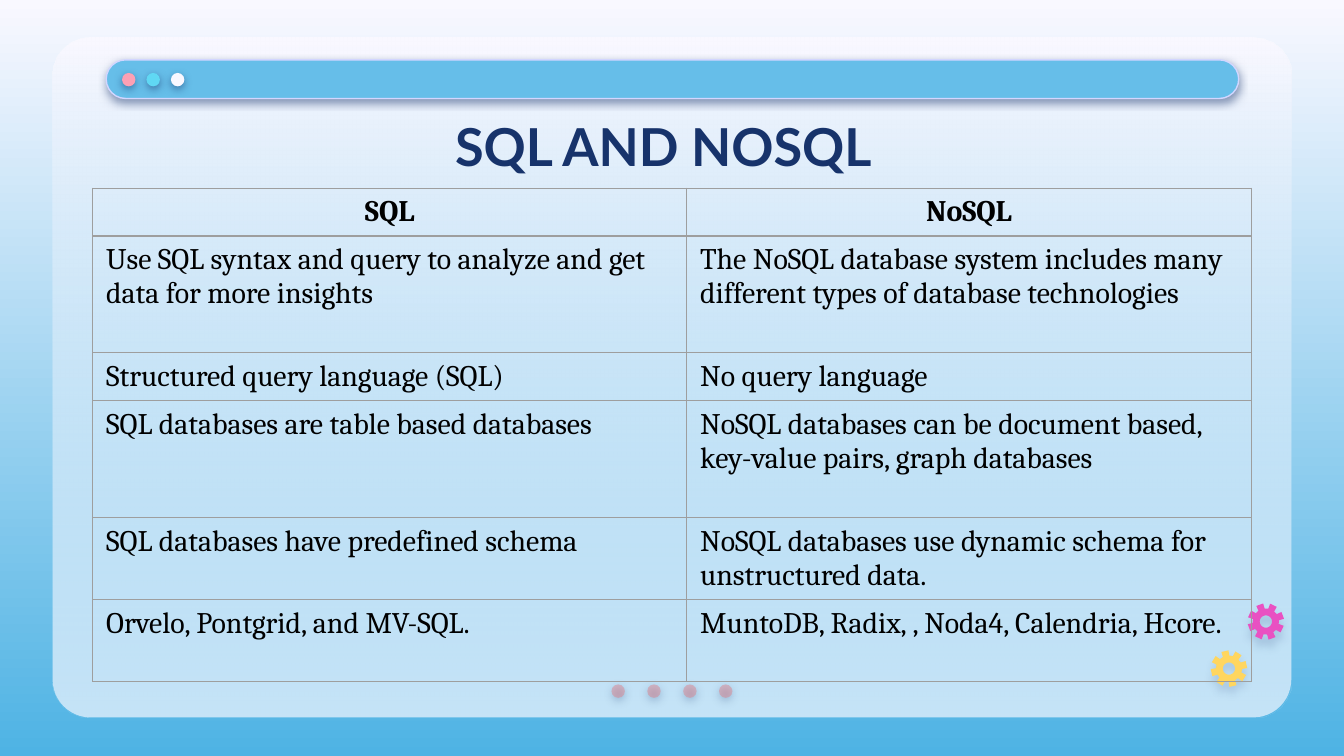
from math import cos, radians, sin

from lxml.etree import SubElement
from pptx import Presentation
from pptx.dml.color import RGBColor
from pptx.enum.shapes import MSO_SHAPE
from pptx.enum.text import MSO_ANCHOR, PP_ALIGN
from pptx.oxml.ns import qn
from pptx.util import Pt

MIST = RGBColor(0xF9, 0xF8, 0xFF)
SKY = RGBColor(0x4E, 0xB3, 0xE4)
BAR_BLUE = RGBColor(0x66, 0xBE, 0xE9)
BAR_EDGE = RGBColor(0xD2, 0xD6, 0xFF)
NAVY = RGBColor(0x17, 0x33, 0x6B)
ROSE = RGBColor(0xE2, 0x7B, 0x83)
PINK = RGBColor(0xFD, 0xA0, 0xB4)
AQUA = RGBColor(0x60, 0xD8, 0xF4)
MAGENTA = RGBColor(0xE9, 0x51, 0xC2)
YELLOW = RGBColor(0xFF, 0xD6, 0x5F)
GRID_GREY = RGBColor(0x9E, 0x9E, 0x9E)
BLACK = RGBColor(0, 0, 0)

DOT_SIZE = 7.2
COLUMN_WIDTHS = (318.2, 302.4)
ROW_HEIGHTS = (25.2, 62.64, 25.2, 62.64, 44, 44)
COMPARISON = (
    ("SQL", "NoSQL"),
    ("Use SQL syntax and query to analyze and get data for more insights",
     "The NoSQL database system includes many different types of database technologies"),
    ("Structured query language (SQL)", "No query language"),
    ("SQL databases are table based databases",
     "NoSQL databases can be document based, key-value pairs, graph databases"),
    ("SQL databases have predefined schema",
     "NoSQL databases use dynamic schema for unstructured data."),
    ("Orvelo, Pontgrid, and MV-SQL.",
     "MuntoDB, Radix, , Noda4, Calendria, Hcore."),
)


def fill_downward(fill, top, bottom):
    fill.gradient()
    fill.gradient_angle = 270
    for stop, color in zip(fill.gradient_stops, (top, bottom)):
        stop.color.rgb = color


def set_last_opacity(shape, percent):
    """Make the last colour of the shape's fill partly transparent."""
    color = shape._element.spPr.findall(".//" + qn("a:srgbClr"))[-1]
    SubElement(color, qn("a:alpha"), val=str(percent * 1000))


def add_shadow(shape, opacity, distance):
    effects = shape._element.spPr.find(qn("a:effectLst"))
    shadow = SubElement(effects, qn("a:outerShdw"), blurRad=str(Pt(4.5)),
                        dist=str(Pt(distance)), dir="5400000",
                        algn="bl", rotWithShape="0")
    color = SubElement(shadow, qn("a:srgbClr"), val=str(NAVY))
    SubElement(color, qn("a:alpha"), val=str(opacity * 1000))


def add_plain(slide, kind, left, top, width, height, color):
    shape = slide.shapes.add_shape(kind, Pt(left), Pt(top), Pt(width), Pt(height))
    shape.shadow.inherit = False
    shape.line.fill.background()
    shape.fill.solid()
    shape.fill.fore_color.rgb = color
    return shape


def add_dots(slide, left, top, pitch, colors, opacity=None):
    for i, color in enumerate(colors):
        dot = add_plain(slide, MSO_SHAPE.OVAL, left + i * pitch, top,
                        DOT_SIZE, DOT_SIZE, color)
        if opacity:
            set_last_opacity(dot, opacity)
        add_shadow(dot, 50, 1.5)


def add_window(slide):
    for _ in range(2):
        panel = add_plain(slide, MSO_SHAPE.ROUNDED_RECTANGLE,
                          28.2, 20.2, 663.6, 364.2, MIST)
        panel.adjustments[0] = 0.056
    fill_downward(panel.fill, MIST, BAR_BLUE)
    set_last_opacity(panel, 35)
    add_dots(slide, 327.6, 366.7, 19.2, [ROSE] * 4, opacity=44)

    bar = add_plain(slide, MSO_SHAPE.ROUNDED_RECTANGLE,
                    56.9, 32.1, 606.7, 20.7, BAR_BLUE)
    bar.adjustments[0] = 0.5
    bar.line.color.rgb = BAR_EDGE
    bar.line.width = Pt(0.75)
    add_shadow(bar, 50, 1.5)
    add_dots(slide, 65.4, 39.1, 13.1, (PINK, AQUA, MIST))


def add_title(slide, text):
    title = slide.shapes.title
    # The placeholder comes first in the tree; bring it in front of the window.
    slide.shapes._spTree.append(title._element)
    title.left, title.top, title.width, title.height = (
        Pt(51.8), Pt(55.4), Pt(607), Pt(45.4))
    frame = title.text_frame
    frame.text = text
    frame.vertical_anchor = MSO_ANCHOR.MIDDLE
    frame.margin_left = frame.margin_right = Pt(7.2)
    frame.margin_top = frame.margin_bottom = Pt(7.2)
    style_paragraph(frame.paragraphs[0], "Lato", 28, NAVY, True, PP_ALIGN.CENTER)


def style_paragraph(paragraph, name, size, color, bold, alignment):
    paragraph.alignment = alignment
    font = paragraph.font
    font.name, font.size, font.bold = name, Pt(size), bold
    font.color.rgb = color


def add_gear(slide, center_x, center_y, turn, color, shadow_opacity, shadow_distance):
    """Draw an eight-toothed gear with a round hole, turned by some degrees."""
    def at(radius, degrees):
        angle = radians(degrees)
        return (Pt(center_x + radius * cos(angle)), Pt(center_y + radius * sin(angle)))

    tooth = ((7, -14.5), (9.8, -11.5), (9.8, 11.5), (7, 14.5))
    rim = [at(radius, turn + 45 * i + offset)
           for i in range(8) for radius, offset in tooth]
    hole = [at(3.3, -15 * i) for i in range(24)]
    builder = slide.shapes.build_freeform(*rim[0])
    builder.add_line_segments(rim[1:], close=True)
    builder.move_to(*hole[0])
    builder.add_line_segments(hole[1:], close=True)
    gear = builder.convert_to_shape()
    gear.shadow.inherit = False
    gear.fill.solid()
    gear.fill.fore_color.rgb = color
    gear.line.fill.background()
    add_shadow(gear, shadow_opacity, shadow_distance)


def add_borders(cell):
    properties = cell._tc.get_or_add_tcPr()
    for side in ("lnL", "lnR", "lnT", "lnB"):
        line = SubElement(properties, qn("a:" + side), w=str(Pt(0.75)))
        SubElement(SubElement(line, qn("a:solidFill")), qn("a:srgbClr"),
                   val=str(GRID_GREY))


def add_comparison(slide):
    table = slide.shapes.add_table(
        len(COMPARISON), len(COLUMN_WIDTHS), Pt(49.7), Pt(100.8),
        Pt(sum(COLUMN_WIDTHS)), Pt(sum(ROW_HEIGHTS))).table
    table.first_row = table.horz_banding = False
    for column, width in zip(table.columns, COLUMN_WIDTHS):
        column.width = Pt(width)
    for r, (row, height) in enumerate(zip(table.rows, ROW_HEIGHTS)):
        row.height = Pt(height)
        header = r == 0
        for cell, text in zip(row.cells, COMPARISON[r]):
            cell.text = text
            add_borders(cell)
            cell.fill.background()
            style_paragraph(cell.text_frame.paragraphs[0], "Cambria", 16, BLACK,
                            header, PP_ALIGN.CENTER if header else PP_ALIGN.LEFT)


def main():
    deck = Presentation()
    deck.slide_width, deck.slide_height = Pt(720), Pt(405)
    slide = deck.slides.add_slide(deck.slide_layouts[5])
    fill_downward(slide.background.fill, MIST, SKY)
    add_window(slide)
    add_title(slide, "SQL AND NOSQL")
    add_gear(slide, 678.2, 333, 25, MAGENTA, 16, 4.5)
    add_gear(slide, 658.4, 358.2, 32, YELLOW, 15, 3.8)
    add_comparison(slide)
    deck.save("out.pptx")


if __name__ == "__main__":
    main()
